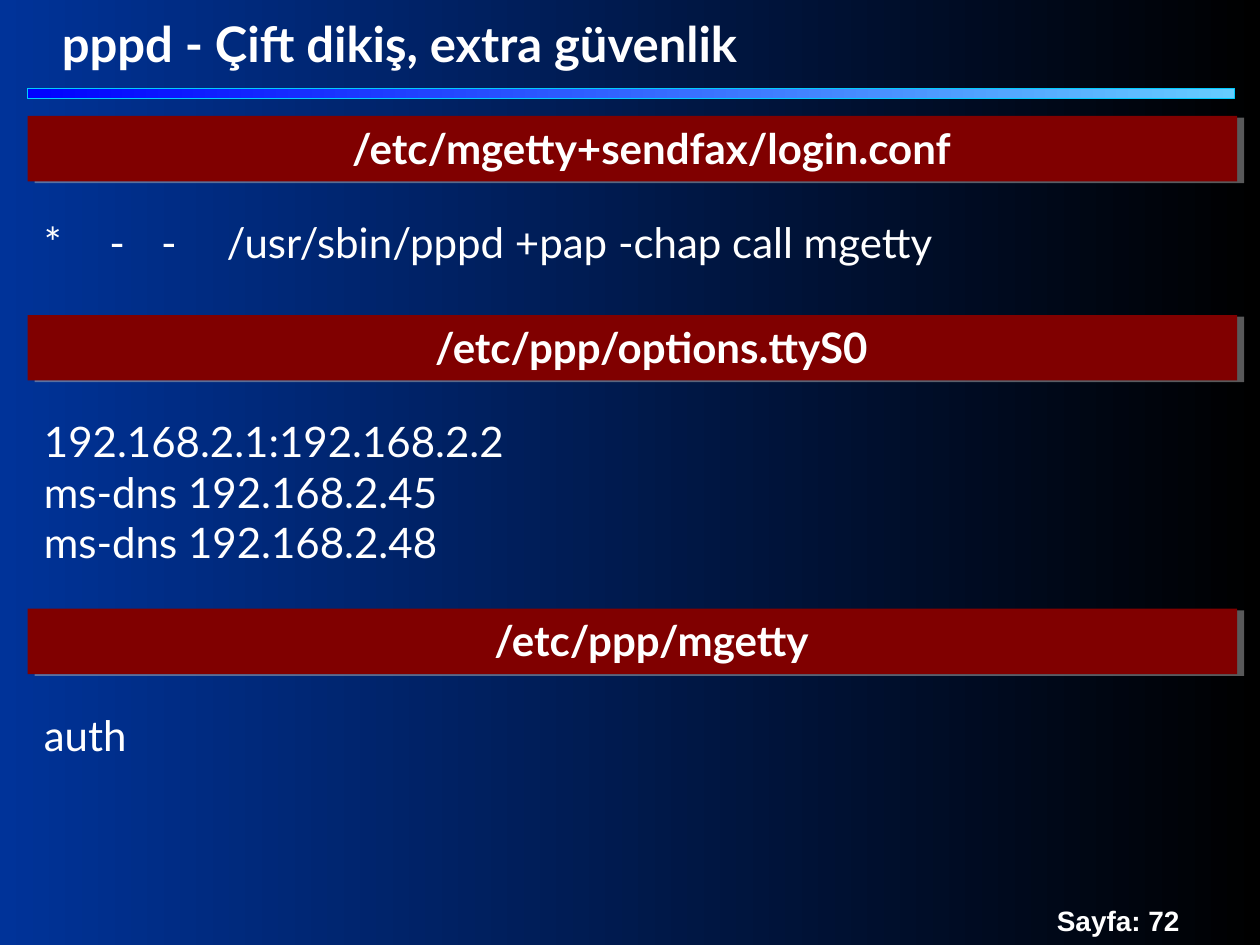
"""Build the slide on pppd configuration files for extra login security."""
from lxml import etree
from pptx import Presentation
from pptx.dml.color import RGBColor
from pptx.enum import shapes, text
from pptx.oxml import ns
from pptx.util import Inches, Pt

WHITE = RGBColor(0xFF, 0xFF, 0xFF)
BLACK = RGBColor(0x00, 0x00, 0x00)
NAVY = RGBColor(0x00, 0x33, 0x99)
BLUE = RGBColor(0x00, 0x00, 0xFF)
SKY = RGBColor(0x66, 0xCC, 0xFF)
CYAN = RGBColor(0x00, 0xCC, 0xFF)
MAROON = RGBColor(0x80, 0x00, 0x00)
SHADOW = RGBColor(0xB2, 0xB2, 0xB2)


def write_text(shape, content, size=24, font="Lato", bold=False, wrap=True,
               align=text.PP_ALIGN.LEFT, tabs=()):
    frame = shape.text_frame
    frame.text = content
    frame.word_wrap = wrap
    frame.auto_size = text.MSO_AUTO_SIZE.SHAPE_TO_FIT_TEXT
    frame.vertical_anchor = text.MSO_ANCHOR.TOP
    for paragraph in frame.paragraphs:
        paragraph.alignment = align
        if tabs:
            properties = paragraph._p.get_or_add_pPr()
            tab_list = etree.SubElement(properties, ns.qn("a:tabLst"))
            for position in tabs:
                etree.SubElement(tab_list, ns.qn("a:tab"),
                                 pos=str(Inches(position)), algn="l")
        for run in paragraph.runs:
            run.font.size = Pt(size)
            run.font.name = font
            run.font.bold = bold
            run.font.color.rgb = WHITE


def fill_gradient(fill, first, last):
    fill.gradient()
    fill.gradient_angle = 180
    for stop, color in zip(fill.gradient_stops, (first, last)):
        stop.color.rgb = color


presentation = Presentation()
presentation.slide_width = Inches(10)
presentation.slide_height = Inches(7.5)
slide = presentation.slides.add_slide(presentation.slide_layouts[5])
fill_gradient(slide.background.fill, BLACK, NAVY)

page_number = slide.shapes.add_textbox(Inches(8.29), Inches(7.12), Inches(2), Inches(0.37))
write_text(page_number, "Sayfa: 72", size=16, font="Arial", bold=True, wrap=False)

rule = slide.shapes.add_shape(shapes.MSO_SHAPE.RECTANGLE, Inches(0.22), Inches(0.7),
                              Inches(9.58), Inches(0.08))
rule.shadow.inherit = False
fill_gradient(rule.fill, SKY, BLUE)
rule.line.color.rgb = CYAN
rule.line.width = Pt(0.75)

title = slide.shapes.title
title.left, title.top = Inches(0.39), Inches(0.06)
title.width, title.height = Inches(6.24), Inches(0.57)
write_text(title, "pppd - Çift dikiş, extra güvenlik", size=28, bold=True, wrap=False)

sections = [
    (0.92, "/etc/mgetty+sendfax/login.conf",
     "* \t-\t-\t/usr/sbin/pppd +pap -chap call mgetty", (0.52, 0.93, 1.45)),
    (2.5, "/etc/ppp/options.ttyS0",
     "192.168.2.1:192.168.2.2\nms-dns 192.168.2.45\nms-dns 192.168.2.48", ()),
    (4.83, "/etc/ppp/mgetty", "auth", ()),
]
for top, file_name, settings, tabs in sections:
    banner = slide.shapes.add_shape(shapes.MSO_SHAPE.RECTANGLE, Inches(0.22), Inches(top),
                                    Inches(9.6), Inches(0.52))
    banner.shadow.inherit = False
    banner.fill.solid()
    banner.fill.fore_color.rgb = MAROON
    banner.line.fill.background()
    effects = banner._element.spPr.find(ns.qn("a:effectLst"))
    shadow = etree.SubElement(effects, ns.qn("a:outerShdw"), blurRad="0",
                              dist=str(Pt(4.1)), dir=str(14 * 60000),
                              algn="ctr", rotWithShape="0")
    shadow_color = etree.SubElement(shadow, ns.qn("a:srgbClr"), val=str(SHADOW))
    etree.SubElement(shadow_color, ns.qn("a:alpha"), val="50000")

    heading = slide.shapes.add_textbox(Inches(1.42), Inches(top), Inches(7.5), Inches(0.5))
    write_text(heading, file_name, bold=True, align=text.PP_ALIGN.CENTER)

    line_count = settings.count("\n") + 1
    body = slide.shapes.add_textbox(Inches(0.25), Inches(top + 0.75), Inches(9.58),
                                    Inches(0.1 + 0.4 * line_count))
    write_text(body, settings, tabs=tabs)

presentation.save("out.pptx")
